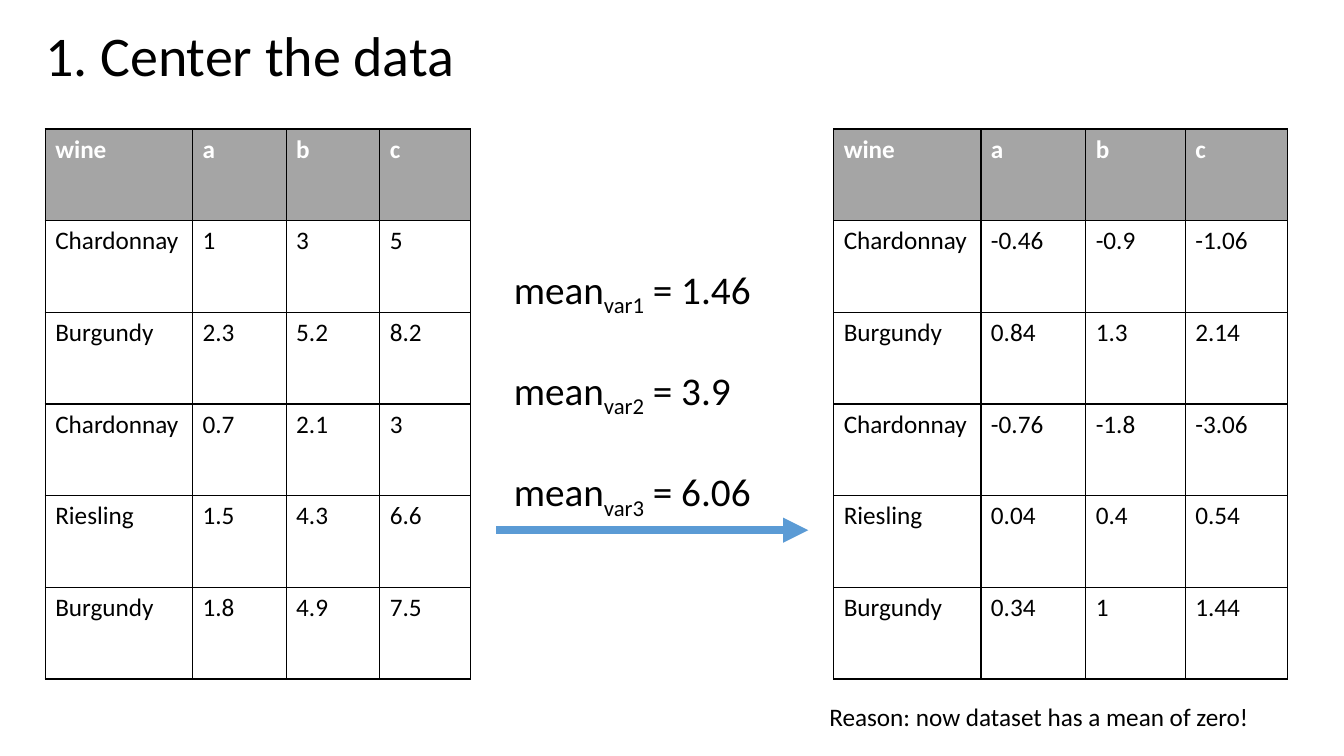
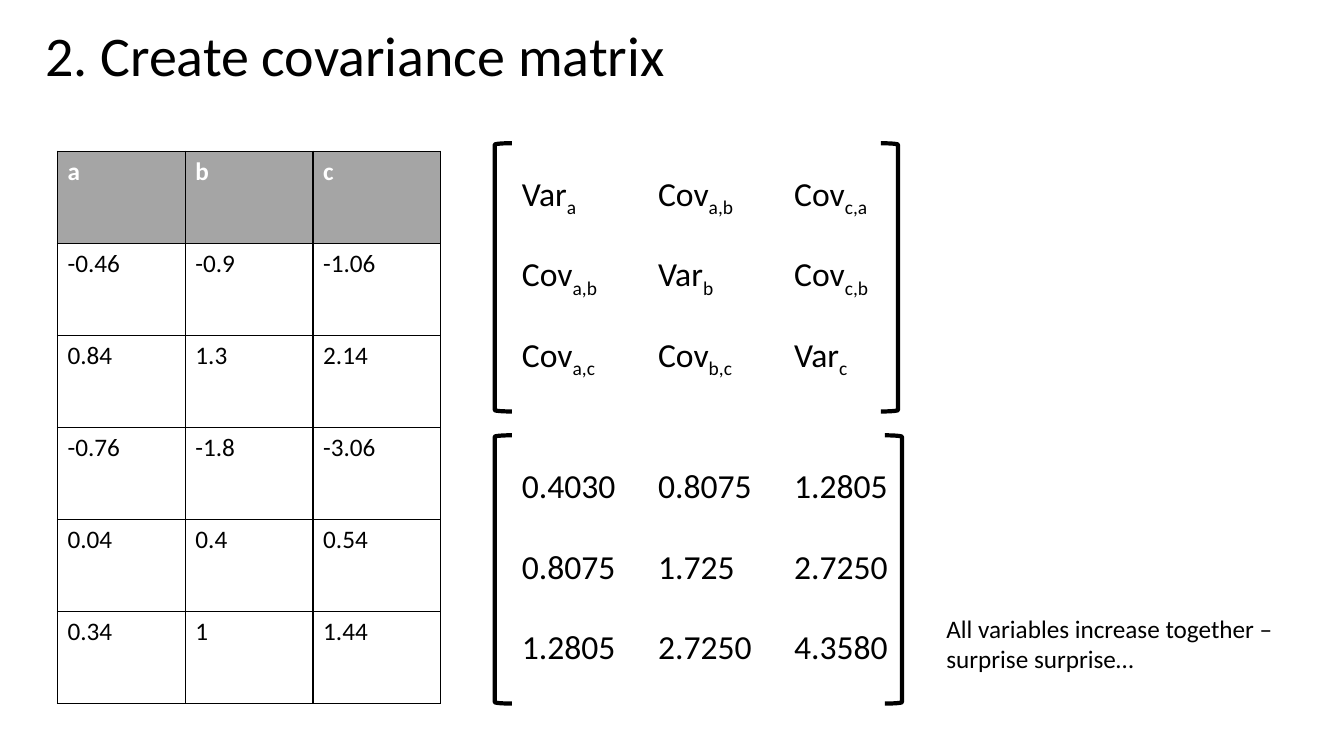
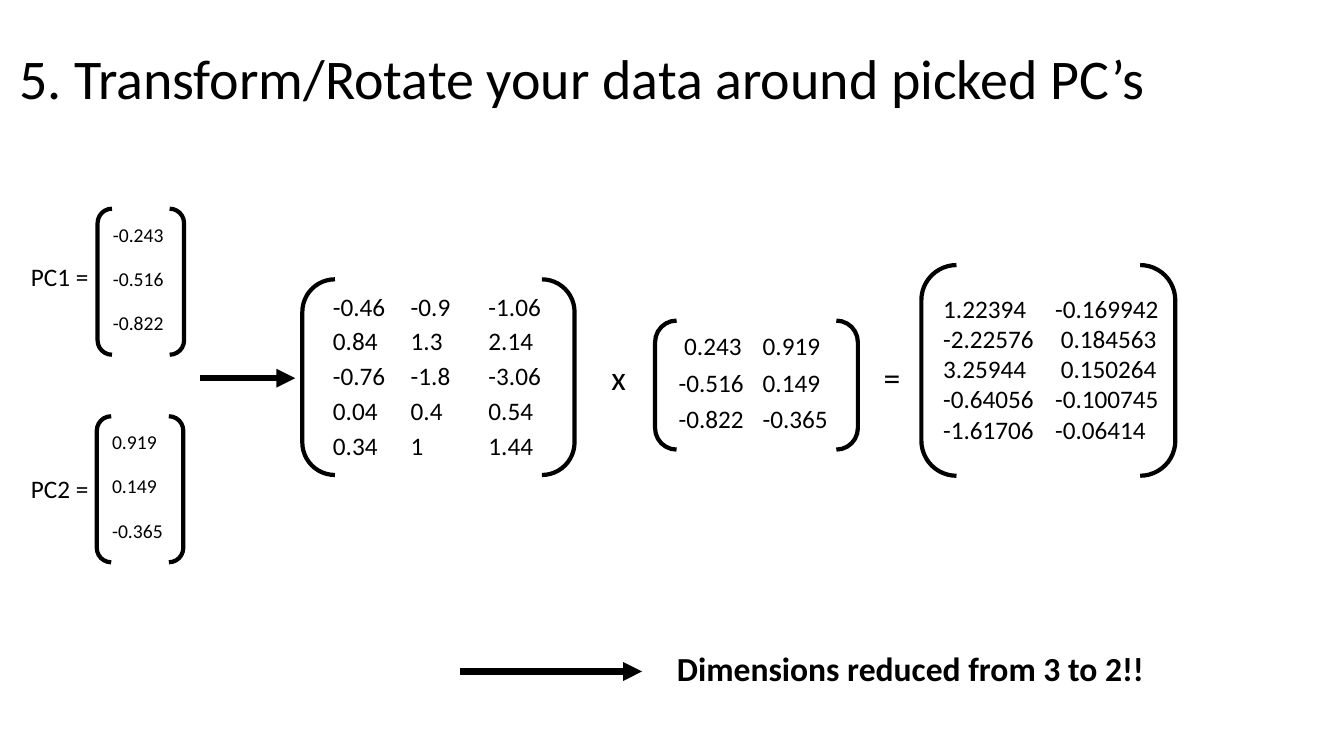
import pptx
import pptx.util
import pptx.dml.color
import pptx.enum.shapes
import pptx.enum.text
import pptx.oxml
import pptx.oxml.ns
from lxml import etree

Cm, Pt = pptx.util.Cm, pptx.util.Pt
RGBColor = pptx.dml.color.RGBColor
MSO_SHAPE = pptx.enum.shapes.MSO_SHAPE
MSO_ANCHOR = pptx.enum.text.MSO_ANCHOR
qn = pptx.oxml.ns.qn

BLACK = RGBColor(0x00, 0x00, 0x00)
WHITE = RGBColor(0xFF, 0xFF, 0xFF)
GREY = RGBColor(0xA5, 0xA5, 0xA5)
BLUE = RGBColor(0x5B, 0x9B, 0xD5)
FONT = "Calibri"
PLAIN_TABLE = "{2D5ABB26-0587-4C30-8999-92F81FD0307C}"
CELL_BORDER = (
    '<a:%s xmlns:a="http://schemas.openxmlformats.org/drawingml/2006/main" w="12700">'
    '<a:solidFill><a:srgbClr val="000000"/></a:solidFill></a:%s>'
)


def write(tf, lines, size, color=BLACK, bold=False, gap=0):
    """Write one paragraph per line; text between underscores is subscript."""
    for i, line in enumerate(lines):
        p = tf.paragraphs[0] if i == 0 else tf.add_paragraph()
        p.alignment = pptx.enum.text.PP_ALIGN.LEFT
        p.space_before = Pt(gap if i else 0)
        for j, part in enumerate(line.split("_")):
            if not part:
                continue
            r = p.add_run()
            r.text = part
            r.font.name, r.font.size = FONT, Pt(size)
            r.font.bold, r.font.color.rgb = bold, color
            if j % 2:
                r.font._element.set("baseline", "-25000")


def add_grid(slide, rows, left, top, widths, height, size=18, ruled=False, tight=False):
    """Add a table; a ruled one has a grey header row and black borders."""
    frame = slide.shapes.add_table(len(rows), len(widths), Cm(left), Cm(top),
                                   Cm(sum(widths)), Cm(height * len(rows)))
    table = frame.table
    table.first_row = table.horz_banding = False
    table._tbl.tblPr.find(qn("a:tableStyleId")).text = PLAIN_TABLE
    for col, width in zip(table.columns, widths):
        col.width = Cm(width)
    for i, row in enumerate(rows):
        table.rows[i].height = Cm(height)
        for j, text in enumerate(row):
            cell = table.cell(i, j)
            header = ruled and i == 0
            write(cell.text_frame, [text], size, WHITE if header else BLACK, header)
            if tight:
                cell.margin_left = cell.margin_top = cell.margin_right = Cm(0.03)
                cell.margin_bottom = 0
                cell.vertical_anchor = MSO_ANCHOR.MIDDLE
            if ruled:
                for side in ("lnL", "lnR", "lnT", "lnB"):
                    cell._tc.get_or_add_tcPr().append(
                        pptx.oxml.parse_xml(CELL_BORDER % (side, side)))
            if header:
                cell.fill.solid()
                cell.fill.fore_color.rgb = GREY
            else:
                cell.fill.background()


prs = pptx.Presentation()
prs.slide_width, prs.slide_height = Cm(33.87), Cm(19.05)

# Slides and titles
titles = [
    ("1. Center the data", 0.89, 25.4, 2.77),
    ("2. Create covariance matrix", 0.89, 25.4, 2.77),
    ("5. Transform/Rotate your data around picked PC’s", 0.23, 33.5, 3.35),
]
slides = []
for text, left, width, height in titles:
    slide = prs.slides.add_slide(prs.slide_layouts[5])
    sp = slide.shapes.title
    sp.left, sp.top, sp.width, sp.height = Cm(left), Cm(-0.41), Cm(width), Cm(height)
    tf = sp.text_frame
    tf.auto_size = pptx.enum.text.MSO_AUTO_SIZE.NONE
    tf.vertical_anchor = MSO_ANCHOR.BOTTOM
    write(tf, [text], 40)
    tf.paragraphs[0].line_spacing = 0.9
    slides.append(slide)
center, covariance, rotate = slides

# Brackets
left_bracket, right_bracket = MSO_SHAPE.LEFT_BRACKET, MSO_SHAPE.RIGHT_BRACKET
pair = MSO_SHAPE.DOUBLE_BRACKET
brackets = [
    (covariance, left_bracket, 12.47, 3.61, 0.43, 6.76),
    (covariance, right_bracket, 22.2, 3.61, 0.43, 6.76),
    (covariance, left_bracket, 12.47, 10.97, 0.43, 6.76),
    (covariance, right_bracket, 22.3, 10.97, 0.43, 6.76),
    (rotate, pair, 2.46, 5.26, 2.18, 3.68),
    (rotate, pair, 2.44, 10.49, 2.18, 3.68),
    (rotate, pair, 7.62, 7.04, 6.86, 4.93),
    (rotate, pair, 16.51, 8.08, 5.11, 3.25),
    (rotate, pair, 23.22, 6.68, 6.4, 5.31),
]
for slide, kind, *box in brackets:
    sp = slide.shapes.add_shape(kind, *map(Cm, box))
    sp.shadow.inherit = False
    sp.fill.background()
    sp.line.color.rgb, sp.line.width = BLACK, Pt(3)

# Table data
wines = [["wine"], ["Chardonnay"], ["Burgundy"], ["Chardonnay"], ["Riesling"], ["Burgundy"]]
variables = ["a", "b", "c"]
measured = [["1", "3", "5"], ["2.3", "5.2", "8.2"], ["0.7", "2.1", "3"],
            ["1.5", "4.3", "6.6"], ["1.8", "4.9", "7.5"]]
centered = [["-0.46", "-0.9", "-1.06"], ["0.84", "1.3", "2.14"], ["-0.76", "-1.8", "-3.06"],
            ["0.04", "0.4", "0.54"], ["0.34", "1", "1.44"]]
formulas = [["Var_a", "Cov_a,b", "Cov_c,a"], ["Cov_a,b", "Var_b", "Cov_c,b"],
            ["Cov_a,c", "Cov_b,c", "Var_c"]]
covariances = [["0.4030", "0.8075", "1.2805"], ["0.8075", "1.725", "2.7250"],
               ["1.2805", "2.7250", "4.3580"]]
pc1 = [["-0.243"], ["-0.516"], ["-0.822"]]
pc2 = [["0.919"], ["0.149"], ["-0.365"]]
components = [[" 0.243", "0.919"], ["-0.516", "0.149"], ["-0.822", "-0.365"]]

# Tables of the data before and after centering
labelled = [wine + row for wine, row in zip(wines, [variables] + measured)]
add_grid(center, labelled, 1.14, 3.25, [3.71, 2.36, 2.36, 2.29], 2.31, ruled=True)
add_grid(center, wines, 21.01, 3.25, [3.71], 2.31, ruled=True)
add_grid(center, [variables] + centered, 24.72, 3.25, [2.64, 2.51, 2.57], 2.31, ruled=True)

# Centered data and covariance matrices
add_grid(covariance, [variables] + centered, 1.45, 3.81, [3.22] * 3, 2.32, ruled=True)
add_grid(covariance, formulas, 12.9, 4.27, [3.43] * 3, 2.03, size=24)
add_grid(covariance, covariances, 12.9, 11.63, [3.43] * 3, 2.03, size=24)

# Components and the matrix product
add_grid(rotate, pc1, 2.59, 5.51, [2.01], 1.11, size=14)
add_grid(rotate, pc2, 2.57, 10.74, [2.01], 1.11, size=14)
add_grid(rotate, centered, 8.36, 7.29, [1.96] * 3, 0.88, tight=True)
add_grid(rotate, components, 17.07, 8.28, [2.12] * 2, 0.91, tight=True)

# Arrows
arrows = [
    (center, 12.5, 20.37, 13.36, BLUE, 6),
    (rotate, 5.05, 7.44, 9.53, BLACK, 4.5),
    (rotate, 11.58, 16.18, 16.92, BLACK, 4.5),
]
for slide, start, end, y, color, weight in arrows:
    cxn = slide.shapes.add_connector(pptx.enum.shapes.MSO_CONNECTOR.STRAIGHT,
                                     Cm(start), Cm(y), Cm(end), Cm(y))
    cxn.line.color.rgb, cxn.line.width = color, Pt(weight)
    etree.SubElement(cxn.line._get_or_add_ln(), qn("a:tailEnd"), type="triangle")
    etree.SubElement(cxn._element.spPr, qn("a:effectLst"))

# Text boxes
means = ["mean_var1_ = 1.46", "mean_var2_ = 3.9", "mean_var3_ = 6.06"]
product = ["1.22394\t-0.169942", "-2.22576\t 0.184563", "3.25944\t 0.150264",
           "-0.64056\t-0.100745", "-1.61706\t-0.06414"]
labels = [
    (center, means, 12.7, 6.55, 6.76, 6.25, 28, False),
    (center, ["Reason: now dataset has a mean of zero!"], 20.65, 17.55, 11.28, 1.02, 18, False),
    (covariance, ["All variables increase together – surprise surprise…"],
     23.6, 15.32, 9.6, 1.8, 18, False),
    (rotate, ["PC1 ="], 0.53, 6.45, 2.13, 1.02, 18, False),
    (rotate, ["PC2 ="], 0.53, 11.8, 2.13, 1.02, 18, False),
    (rotate, ["x"], 15.16, 8.86, 0.89, 1.27, 24, False),
    (rotate, ["="], 22.02, 8.86, 0.94, 1.27, 24, False),
    (rotate, product, 23.52, 7.26, 6.83, 4.11, 18, False),
    (rotate, ["Dimensions reduced from 3 to 2!!"], 16.81, 16.21, 12.4, 1.27, 24, True),
]
for slide, lines, left, top, width, height, size, bold in labels:
    sp = slide.shapes.add_textbox(Cm(left), Cm(top), Cm(width), Cm(height))
    tf = sp.text_frame
    tf.word_wrap = True
    write(tf, lines, size, bold=bold, gap=34 if lines is means else 0)
    if lines is product:
        for p in tf.paragraphs:
            tabs = etree.SubElement(p._p.get_or_add_pPr(), qn("a:tabLst"))
            etree.SubElement(tabs, qn("a:tab"), pos=str(Cm(2.82)), algn="l")

prs.save("out.pptx")
